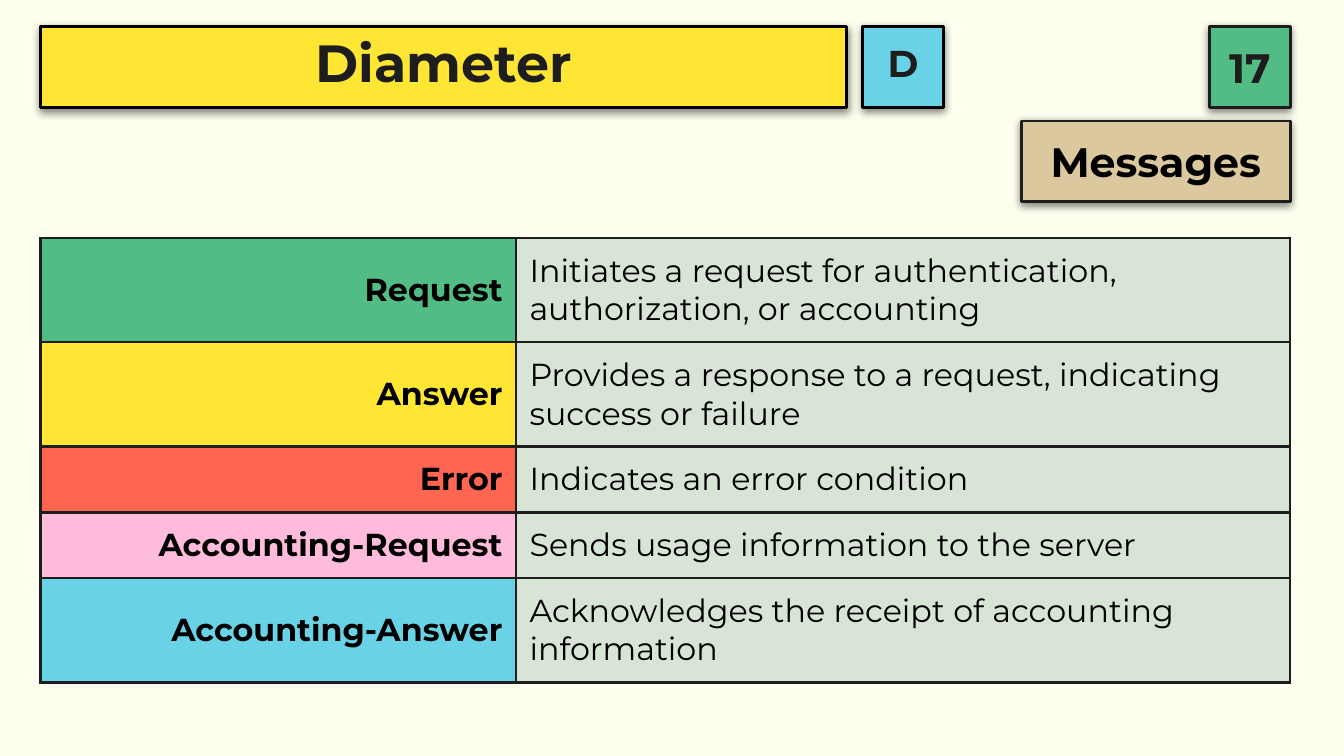
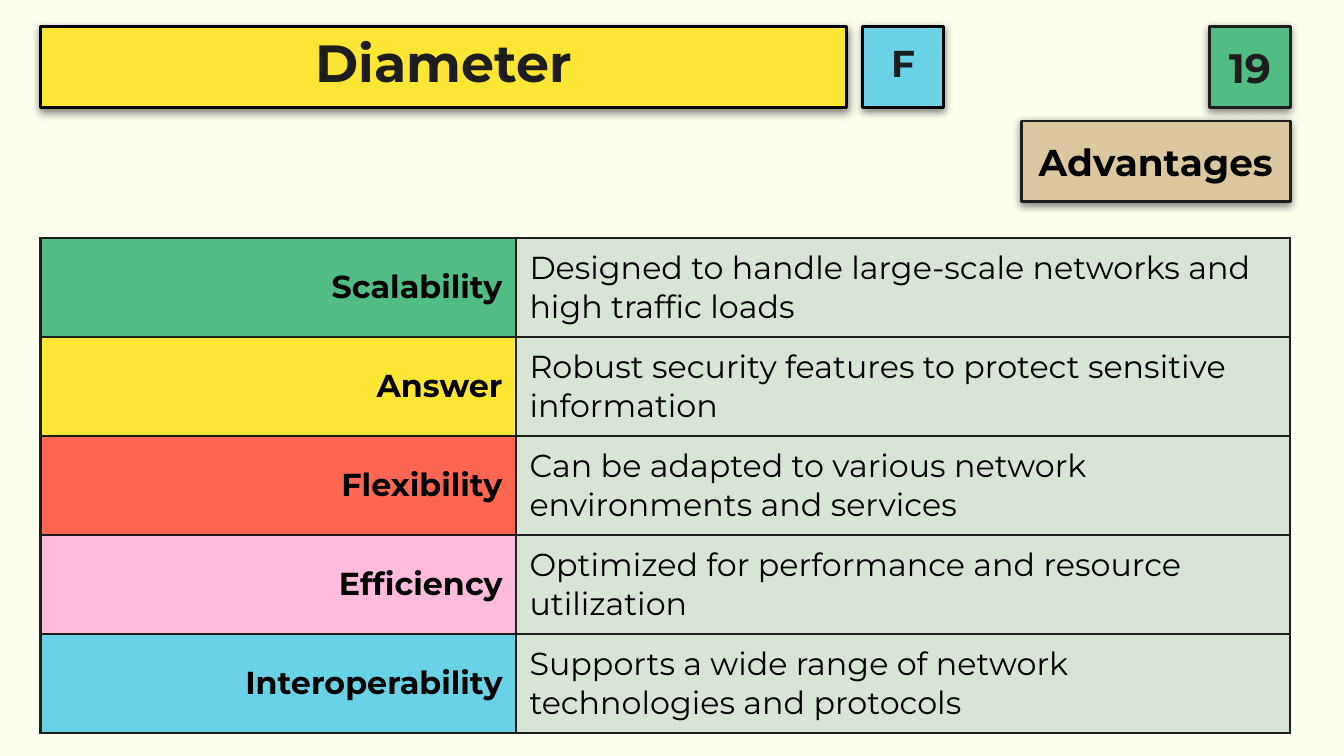
"""Builds two Diameter protocol slides, each with header boxes and a table of terms."""
from pptx import Presentation
from pptx.dml.color import RGBColor
from pptx.enum.shapes import MSO_SHAPE
from pptx.enum.text import MSO_ANCHOR, MSO_AUTO_SIZE, PP_ALIGN
from pptx.oxml import parse_xml
from pptx.oxml.ns import nsdecls
from pptx.util import Emu, Pt

RECTANGLE = MSO_SHAPE.RECTANGLE
MIDDLE = MSO_ANCHOR.MIDDLE
FIXED = MSO_AUTO_SIZE.NONE
LEFT, CENTER, RIGHT = PP_ALIGN.LEFT, PP_ALIGN.CENTER, PP_ALIGN.RIGHT

LECTURES = [
    {
        "title": "Diameter", "part": "D", "number": "17",
        "topic": "Messages", "topic_size": 22, "row_inset": 20,
        "terms": [
            ("Request", "Initiates a request for authentication, authorization, or accounting"),
            ("Answer", "Provides a response to a request, indicating success or failure"),
            ("Error", "Indicates an error condition"),
            ("Accounting-Request", "Sends usage information to the server"),
            ("Accounting-Answer", "Acknowledges the receipt of accounting information"),
        ],
    },
    {
        "title": "Diameter", "part": "F", "number": "19",
        "topic": "Advantages", "topic_size": 20, "row_inset": 16,
        "terms": [
            ("Scalability", "Designed to handle large-scale networks and high traffic loads"),
            ("Answer", "Robust security features to protect sensitive information"),
            ("Flexibility", "Can be adapted to various network environments and services"),
            ("Efficiency", "Optimized for performance and resource utilization"),
            ("Interoperability", "Supports a wide range of network technologies and protocols"),
        ],
    },
]

COLORS = {
    "page": "FFFFF0", "ink": "1D1D1D", "black": "000000",
    "green": "51BD85", "yellow": "FFE534", "red": "FF6652",
    "pink": "FFBBDC", "blue": "6AD2E6", "tan": "DBC89F", "sage": "D8E4D6",
}
TERM_COLORS = ["green", "yellow", "red", "pink", "blue"]
FONT = "Montserrat"
TERM_SIZE = 17
BORDER = Pt(1.5)

EMU_PER_PX = 4572
PAGE_W, PAGE_H = 2000, 1125
MARGIN, TOP, BOX = 60, 40, 120
NUMBER_X = 1800
TITLE_W = 1200
PART_X = 1284
TOPIC_X, TOPIC_Y, TOPIC_W = 1520, 180, 400
TABLE_Y, ROW_H = 354, 84
COLUMNS = [708, 1152]
INSET = 20


def px(length):
    return Emu(length * EMU_PER_PX)


def rgb(name):
    return RGBColor.from_string(COLORS[name])


def paint(fill, color):
    fill.solid()
    fill.fore_color.rgb = rgb(color)


def write(frame, text, size, color, bold, align, spacing=None):
    paragraph = frame.paragraphs[0]
    paragraph.alignment = align
    if spacing:
        paragraph.line_spacing = spacing
    run = paragraph.add_run()
    run.text = text
    run.font.name = FONT
    run.font.size = Pt(size)
    run.font.bold = bold
    run.font.color.rgb = rgb(color)


def inset(area, vertical=INSET):
    area.margin_left = area.margin_right = px(INSET)
    area.margin_top = area.margin_bottom = px(vertical)
    area.vertical_anchor = MIDDLE


def style_box(box, text, size, fill, line, color, spacing=None):
    paint(box.fill, fill)
    box.line.color.rgb = rgb(line)
    box.line.width = BORDER
    box.shadow.inherit = False
    box.shadow._element.effectLst.append(parse_xml(
        f'<a:outerShdw {nsdecls("a")} blurRad="{Pt(4.5)}" dist="{Pt(1.5)}" '
        f'dir="5400000" algn="bl" rotWithShape="0"><a:srgbClr val="{COLORS["black"]}">'
        '<a:alpha val="50000"/></a:srgbClr></a:outerShdw>'))
    frame = box.text_frame
    frame.word_wrap = True
    frame.auto_size = FIXED
    inset(frame)
    write(frame, text, size, color, True, CENTER, spacing)


def add_box(slide, x, y, width, *style):
    box = slide.shapes.add_shape(RECTANGLE, px(x), px(y), px(width), px(BOX))
    style_box(box, *style)


def add_title(slide, text):
    title = slide.shapes.title
    title.left, title.top = px(MARGIN), px(TOP)
    title.width, title.height = px(TITLE_W), px(BOX)
    style_box(title, text, 28, "yellow", "black", "ink", 0.8)


def fill_cell(cell, text, fill, bold, align, row_inset):
    paint(cell.fill, fill)
    inset(cell, row_inset)
    write(cell.text_frame, text, TERM_SIZE, "black", bold, align)
    properties = cell._tc.get_or_add_tcPr()
    for index, side in enumerate(("lnL", "lnR", "lnT", "lnB")):
        properties.insert(index, parse_xml(
            f'<a:{side} {nsdecls("a")} w="{BORDER}"><a:solidFill>'
            f'<a:srgbClr val="{COLORS["ink"]}"/></a:solidFill></a:{side}>'))


def add_terms(slide, terms, row_inset):
    table = slide.shapes.add_table(
        len(terms), len(COLUMNS), px(MARGIN), px(TABLE_Y),
        px(sum(COLUMNS)), px(ROW_H * len(terms))).table
    table.first_row = table.horz_banding = False
    for column, width in zip(table.columns, COLUMNS):
        column.width = px(width)
    for row, ((term, meaning), color) in enumerate(zip(terms, TERM_COLORS)):
        fill_cell(table.cell(row, 0), term, color, True, RIGHT, row_inset)
        fill_cell(table.cell(row, 1), meaning, "sage", False, LEFT, row_inset)


def main():
    deck = Presentation()
    deck.slide_width, deck.slide_height = px(PAGE_W), px(PAGE_H)
    paint(deck.slide_master.background.fill, "page")
    title_only = deck.slide_layouts.get_by_name("Title Only")
    for lecture in LECTURES:
        slide = deck.slides.add_slide(title_only)
        add_title(slide, lecture["title"])
        add_box(slide, NUMBER_X, TOP, BOX, lecture["number"], 22, "green", "ink", "ink")
        add_terms(slide, lecture["terms"], lecture["row_inset"])
        add_box(slide, TOPIC_X, TOPIC_Y, TOPIC_W, lecture["topic"],
                lecture["topic_size"], "tan", "ink", "black")
        add_box(slide, PART_X, TOP, BOX, lecture["part"], 20, "blue", "black", "ink", 0.8)
    deck.save("out.pptx")


if __name__ == "__main__":
    main()
